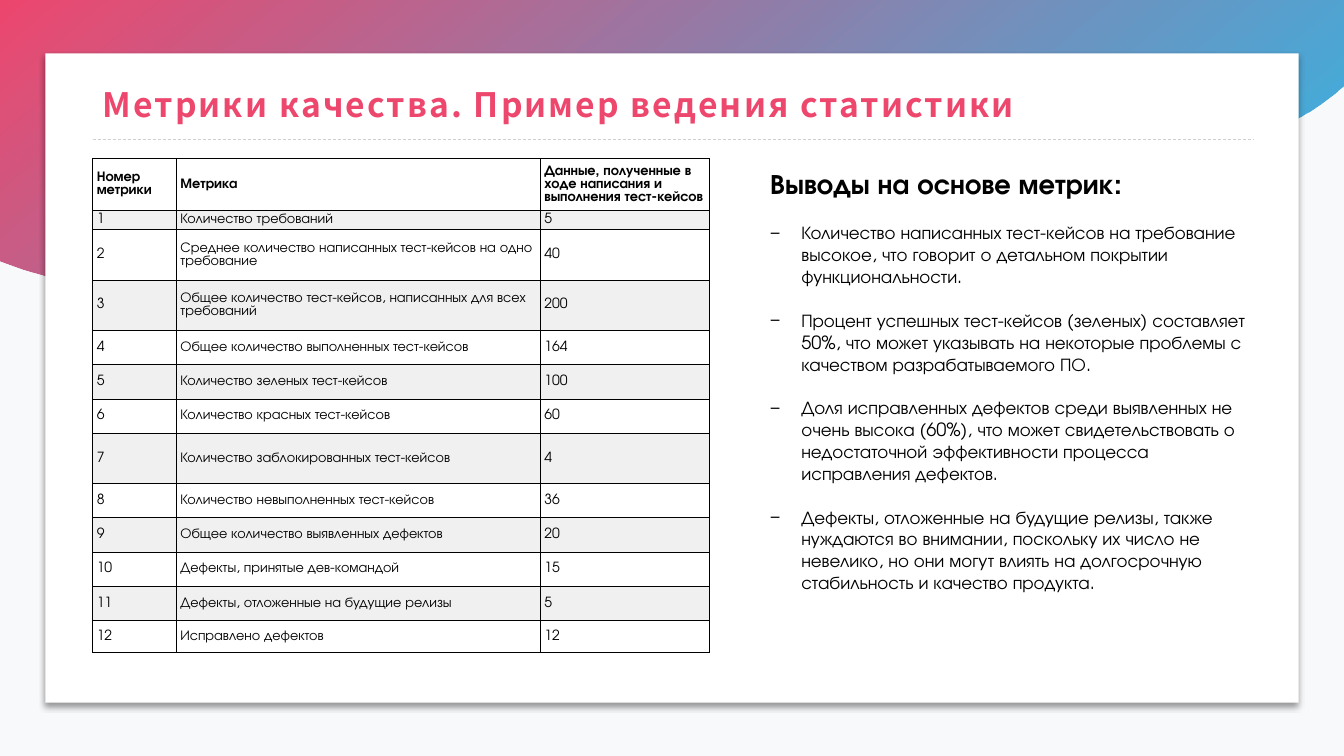
import pptx
import pptx.dml.color
import pptx.enum.dml
import pptx.enum.shapes
import pptx.enum.text
import pptx.oxml
import pptx.oxml.ns
import pptx.util

Inches = pptx.util.Inches
Pt = pptx.util.Pt
NS = pptx.oxml.ns.nsdecls("a")


class Theme:
    title_font, body_font = "Noto Sans CJK JP", "TeX Gyre Adventor"
    background, card, band = "F8F9FB", "FFFFFF", "F0F0F0"
    pink, blue, ink, rule = "EE476E", "16B3E8", "000000", "D0CECE"
    title, heading, body, cell = 24, 20, 13, 10
    wave_end_alpha = 90


def rgb(value):
    return pptx.dml.color.RGBColor.from_string(value)


class SlideBuilder:
    def __init__(self, slide, theme):
        self.slide, self.theme = slide, theme
        fill = slide.background.fill
        fill.solid()
        fill.fore_color.rgb = rgb(theme.background)

    def wave(self, start, curves, corners):
        """Outline of cubic curves followed by straight edges."""
        points = [point for curve in curves for point in curve] + corners
        builder = self.slide.shapes.build_freeform(
            *(Inches(value) for value in start), scale=1)
        builder.add_line_segments([(Inches(x), Inches(y)) for x, y in points], close=True)
        wave = builder.convert_to_shape()
        wave.shadow.inherit = False
        wave.line.fill.background()
        wave.fill.gradient()
        wave.fill.gradient_angle = 310  # counter-clockwise
        for stop, color in zip(wave.fill.gradient_stops, (self.theme.pink, self.theme.blue)):
            stop.color.rgb = rgb(color)
        properties = wave._element.spPr
        last_color = properties.findall(".//" + pptx.oxml.ns.qn("a:srgbClr"))[-1]
        last_color.append(pptx.oxml.parse_xml(
            f'<a:alpha {NS} val="{self.theme.wave_end_alpha * 1000}"/>'))

        # Every three leading segments become one cubic curve
        segments = properties.findall(".//" + pptx.oxml.ns.qn("a:lnTo"))
        for index in range(len(curves)):
            cubic = pptx.oxml.parse_xml(f"<a:cubicBezTo {NS}/>")
            group = segments[3 * index:3 * index + 3]
            group[0].addprevious(cubic)
            for segment in group:
                cubic.append(segment[0])
                segment.getparent().remove(segment)

    def card(self, *box):
        card = self.slide.shapes.add_shape(
            pptx.enum.shapes.MSO_SHAPE.RECTANGLE, *map(Inches, box))
        card.fill.solid()
        card.fill.fore_color.rgb = rgb(self.theme.card)
        card.line.fill.background()
        card.shadow.inherit = False
        card._element.spPr.find(pptx.oxml.ns.qn("a:effectLst")).append(pptx.oxml.parse_xml(
            f'<a:outerShdw {NS} blurRad="{Pt(4)}" dist="{Pt(3)}" dir="5400000" '
            f'algn="t" rotWithShape="0"><a:srgbClr val="{self.theme.ink}">'
            '<a:alpha val="40000"/></a:srgbClr></a:outerShdw>'))

    def dashed_rule(self, left, right, y):
        rule = self.slide.shapes.add_connector(
            pptx.enum.shapes.MSO_CONNECTOR.STRAIGHT, *map(Inches, (left, y, right, y)))
        rule.line.color.rgb = rgb(self.theme.rule)
        rule.line.width = Pt(0.5)
        rule.line.dash_style = pptx.enum.dml.MSO_LINE.DASH
        rule._element.spPr.append(pptx.oxml.parse_xml(f"<a:effectLst {NS}/>"))

    def run(self, paragraph, text, size, bold=False, color=None, font=None):
        run = paragraph.add_run()
        run.text = text
        run.font.size = Pt(size)
        run.font.bold = bold
        run.font.name = font or self.theme.body_font
        run.font.color.rgb = rgb(color or self.theme.ink)
        return run

    def text_frame(self, *box):
        frame = self.slide.shapes.add_textbox(*map(Inches, box)).text_frame
        frame.word_wrap = True
        return frame

    def title(self, text, *box):
        frame = self.text_frame(*box)
        frame.vertical_anchor = pptx.enum.text.MSO_ANCHOR.MIDDLE
        frame.paragraphs[0].line_spacing = 0.9
        title = self.run(frame.paragraphs[0], text, self.theme.title, True,
                         self.theme.pink, self.theme.title_font)
        title.font._element.set("spc", "150")

    def conclusions(self, heading, points, *box):
        frame = self.text_frame(*box)
        self.run(frame.paragraphs[0], heading, self.theme.heading, True)
        for point in points:
            paragraph = frame.add_paragraph()
            properties = paragraph._p.get_or_add_pPr()
            properties.set("marL", str(Inches(0.31)))
            properties.set("indent", str(Inches(-0.31)))
            properties.append(pptx.oxml.parse_xml(
                f'<a:buFont {NS} typeface="{self.theme.title_font}"/>'))
            properties.append(pptx.oxml.parse_xml(f'<a:buChar {NS} char="−"/>'))
            paragraph.space_before = Pt(self.theme.body * 1.2)  # one line
            self.run(paragraph, point, self.theme.body)

    def table(self, rows, widths, heights, left, top):
        table = self.slide.shapes.add_table(
            len(rows), len(widths), Inches(left), Inches(top),
            Inches(sum(widths)), Inches(sum(heights))).table
        table.horz_banding = table.first_row = False
        for column, width in zip(table.columns, widths):
            column.width = Inches(width)
        for index, (row, height) in enumerate(zip(rows, heights)):
            table.rows[index].height = Inches(height)
            for column, text in enumerate(row):
                self.cell(table.cell(index, column), text, index)

    def cell(self, cell, text, row):
        cell.margin_left = cell.margin_right = Inches(0.04)
        cell.margin_top = cell.margin_bottom = Inches(0.01)
        cell.vertical_anchor = pptx.enum.text.MSO_ANCHOR.MIDDLE
        self.run(cell.text_frame.paragraphs[0], text, self.theme.cell, bold=row == 0)
        properties = cell._tc.get_or_add_tcPr()
        for side in ("lnL", "lnR", "lnT", "lnB"):
            properties.append(pptx.oxml.parse_xml(
                f'<a:{side} {NS} w="{Pt(0.5)}"><a:solidFill>'
                f'<a:srgbClr val="{self.theme.ink}"/></a:solidFill></a:{side}>'))
        cell.fill.solid()
        cell.fill.fore_color.rgb = rgb(self.theme.band if row % 2 else self.theme.card)


HEADER = ("Номер метрики", "Метрика",
          "Данные, полученные в ходе написания и выполнения тест-кейсов")
METRICS = [
    ("Количество требований", 5),
    ("Среднее количество написанных тест-кейсов на одно требование", 40),
    ("Общее количество тест-кейсов, написанных для всех требований", 200),
    ("Общее количество выполненных тест-кейсов", 164),
    ("Количество зеленых тест-кейсов", 100),
    ("Количество красных тест-кейсов", 60),
    ("Количество заблокированных тест-кейсов", 4),
    ("Количество невыполненных тест-кейсов", 36),
    ("Общее количество выявленных дефектов", 20),
    ("Дефекты, принятые дев-командой", 15),
    ("Дефекты, отложенные на будущие релизы", 5),
    ("Исправлено дефектов", 12),
]
ROW_HEIGHTS = [0.37, 0.18, 0.5, 0.5] + [0.34] * 3 + [0.5] + [0.34] * 4 + [0.32]
CONCLUSIONS = [
    "Количество написанных тест-кейсов на требование высокое, что говорит о детальном "
    "покрытии функциональности.",
    "Процент успешных тест-кейсов (зеленых) составляет 50%, что может указывать на "
    "некоторые проблемы с качеством разрабатываемого ПО.",
    "Доля исправленных дефектов среди выявленных не очень высока (60%), что может "
    "свидетельствовать о недостаточной эффективности процесса исправления дефектов.",
    "Дефекты, отложенные на будущие релизы, также нуждаются во внимании, поскольку их "
    "число не невелико, но они могут влиять на долгосрочную стабильность и качество продукта.",
]


def main():
    deck = pptx.Presentation()
    deck.slide_width, deck.slide_height = Inches(13.33), Inches(7.5)
    page = SlideBuilder(deck.slides.add_slide(deck.slide_layouts[6]), Theme())
    # Backdrop: gradient wave and white card
    page.wave((0, 2.58), [((1.22, 3.04), (2.66, 3.11), (3.93, 2.74)),
                          ((5.3, 2.35), (6.48, 1.51), (7.92, 1.36)),
                          ((9.36, 1.21), (10.88, 1.8), (12.27, 1.42)),
                          ((12.67, 1.31), (13.04, 1.11), (13.33, 0.85))],
              [(13.33, 0), (0, 0)])
    page.card(0.45, 0.53, 12.43, 6.44)
    # Title and rule
    page.dashed_rule(0.92, 12.43, 1.38)
    page.title("Метрики качества. Пример ведения статистики", 0.92, 0.74, 11.5, 0.64)
    # Metrics table
    rows = [HEADER] + [(str(number), name, str(value))
                       for number, (name, value) in enumerate(METRICS, 1)]
    page.table(rows, (0.83, 3.61, 1.68), ROW_HEIGHTS, 0.92, 1.57)
    # Conclusions
    page.conclusions("Выводы на основе метрик:", CONCLUSIONS, 7.54, 1.6, 4.95, 5.03)
    deck.save("out.pptx")


if __name__ == "__main__":
    main()
